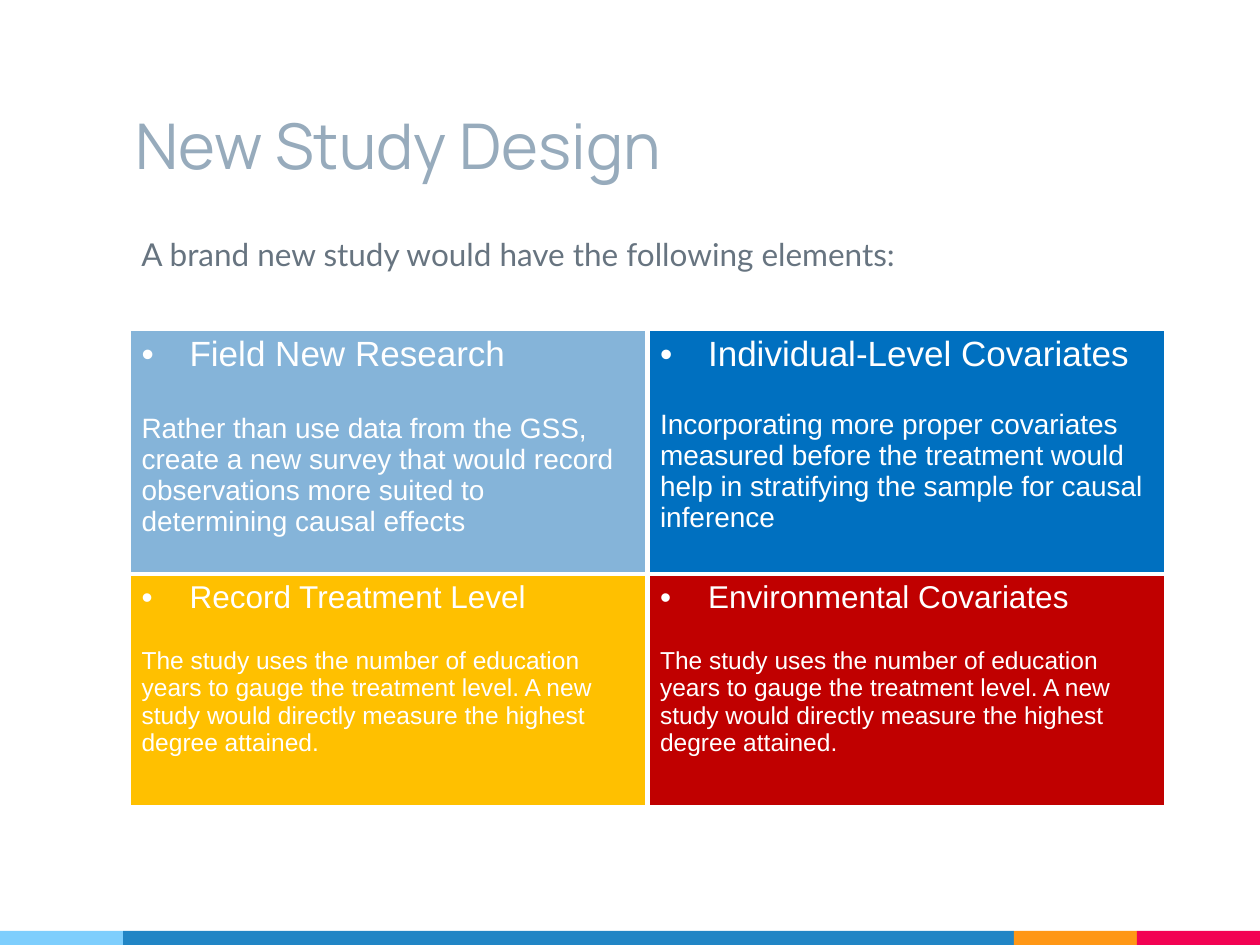
from lxml import etree
from pptx import Presentation
from pptx.dml.color import RGBColor
from pptx.enum.shapes import MSO_SHAPE
from pptx.enum.text import MSO_ANCHOR
from pptx.oxml.ns import qn
from pptx.util import Pt

RECT = MSO_SHAPE.RECTANGLE
TOP, BOTTOM = MSO_ANCHOR.TOP, MSO_ANCHOR.BOTTOM
WHITE = RGBColor(0xFF, 0xFF, 0xFF)
TITLE_GRAY = RGBColor(0x97, 0xAB, 0xBC)
TEXT_GRAY = RGBColor(0x67, 0x74, 0x80)
SKY = RGBColor(0x7E, 0xCE, 0xFD)
BLUE = RGBColor(0x21, 0x85, 0xC5)
ORANGE = RGBColor(0xFF, 0x97, 0x15)
PINK = RGBColor(0xF2, 0x02, 0x53)
PALE_BLUE = RGBColor(0x85, 0xB4, 0xD9)
DEEP_BLUE = RGBColor(0x00, 0x70, 0xC0)
GOLD = RGBColor(0xFF, 0xC0, 0x00)
RED = RGBColor(0xC0, 0x00, 0x00)

FOOTER = [(123, SKY), (891, BLUE), (123, ORANGE), (123, PINK)]
TREATMENT = ("The study uses the number of education years to gauge the treatment level. "
             "A new study would directly measure the highest degree attained.")
ELEMENTS = [
    [("Field New Research",
      "Rather than use data from the GSS, create a new survey that would record "
      "observations more suited to determining causal effects", 20, 16, 22, PALE_BLUE),
     ("Individual-Level Covariates",
      "Incorporating more proper covariates measured before the treatment would "
      "help in stratifying the sample for causal inference", 20, 16, 20, DEEP_BLUE)],
    [("Record Treatment Level", TREATMENT, 18, 14, 18, GOLD),
     ("Environmental Covariates", TREATMENT, 18, 14, 18, RED)],
]


def px(n):
    """Turn slide pixels into EMU."""
    return round(n * 914400 / 126)


def style(p, font, size, color):
    """Format a paragraph's runs."""
    for r in p.runs:
        r.font.name = font
        r.font.size = Pt(size)
        r.font.color.rgb = color


def add_footer(s, x, y, h):
    """Lay the coloured strips side by side."""
    for w, color in FOOTER:
        sp = s.shapes.add_shape(RECT, px(x), px(y), px(w), px(h))
        sp.shadow.inherit = False
        sp.fill.solid()
        sp.fill.fore_color.rgb = color
        sp.line.fill.background()
        x += w


def add_text(s, x, y, w, h, text, font, size, color, anchor=TOP):
    """Place a wrapped line of text in a box."""
    tf = s.shapes.add_textbox(px(x), px(y), px(w), px(h)).text_frame
    tf.word_wrap = True
    tf.vertical_anchor = anchor
    tf.margin_left = tf.margin_right = tf.margin_top = tf.margin_bottom = Pt(7.2)
    tf.text = text
    style(tf.paragraphs[0], font, size, color)


def add_borders(cell):
    """Draw white lines on all sides of a cell."""
    tcPr = cell._tc.get_or_add_tcPr()
    for side in ("lnL", "lnR", "lnT", "lnB"):
        ln = etree.SubElement(tcPr, qn(f"a:{side}"), w=str(Pt(3)))
        fill = etree.SubElement(ln, qn("a:solidFill"))
        etree.SubElement(fill, qn("a:srgbClr"), val=str(WHITE))


def fill_cell(cell, heading, body, heading_size, body_size, gap, color):
    """Write a bulleted heading and its explanation in a coloured cell."""
    add_borders(cell)
    cell.fill.solid()
    cell.fill.fore_color.rgb = color
    tf = cell.text_frame
    p = tf.paragraphs[0]
    p.text = heading
    pPr = p._p.get_or_add_pPr()
    pPr.set("marL", str(px(48)))
    pPr.set("indent", str(-px(48)))
    etree.SubElement(pPr, qn("a:buFont"), typeface="Arial")
    etree.SubElement(pPr, qn("a:buChar"), char="•")
    style(p, "Arial", heading_size, WHITE)
    p = tf.add_paragraph()
    p.text = body
    p.space_before = Pt(gap)
    style(p, "Arial", body_size, WHITE)


def add_elements(s, x, y, w, row_heights):
    """Build the table of study elements."""
    rows, cols = len(ELEMENTS), len(ELEMENTS[0])
    table = s.shapes.add_table(rows, cols, px(x), px(y), px(w), px(sum(row_heights))).table
    for i, row in enumerate(ELEMENTS):
        table.rows[i].height = px(row_heights[i])
        for j, element in enumerate(row):
            fill_cell(table.cell(i, j), *element)


def main():
    """Build and save the slide."""
    prs = Presentation()
    prs.slide_width, prs.slide_height = px(1260), px(945)
    s = prs.slides.add_slide(prs.slide_layouts[6])
    add_footer(s, 0, 931, 14)
    add_text(s, 123, 37, 891, 158, "New Study Design", "Manrope", 36, TITLE_GRAY, BOTTOM)
    add_text(s, 129, 222, 1074, 113, "A brand new study would have the following elements:",
             "Lato", 18, TEXT_GRAY)
    add_elements(s, 129, 329, 1037, (245, 233))
    prs.save("out.pptx")


if __name__ == "__main__":
    main()
